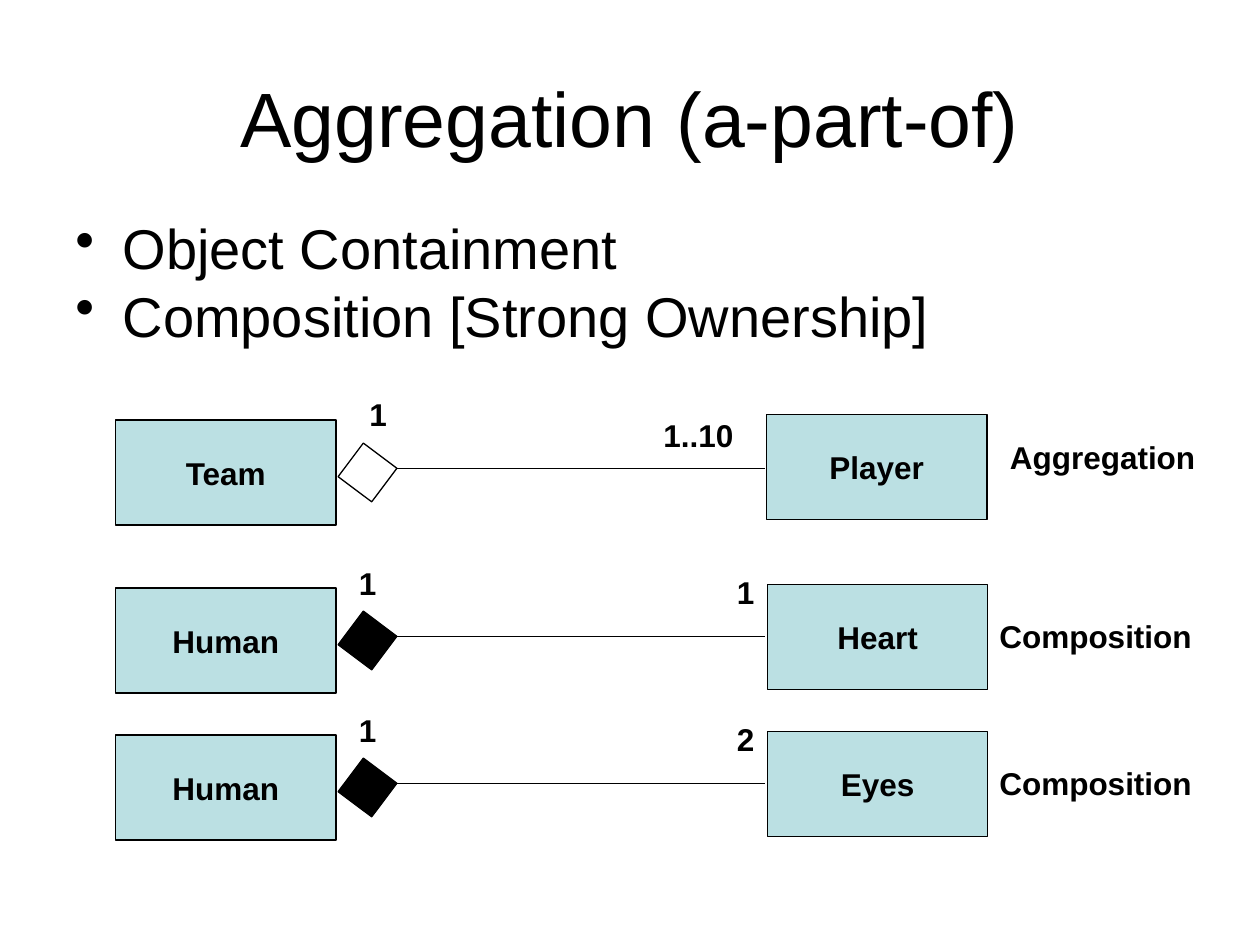
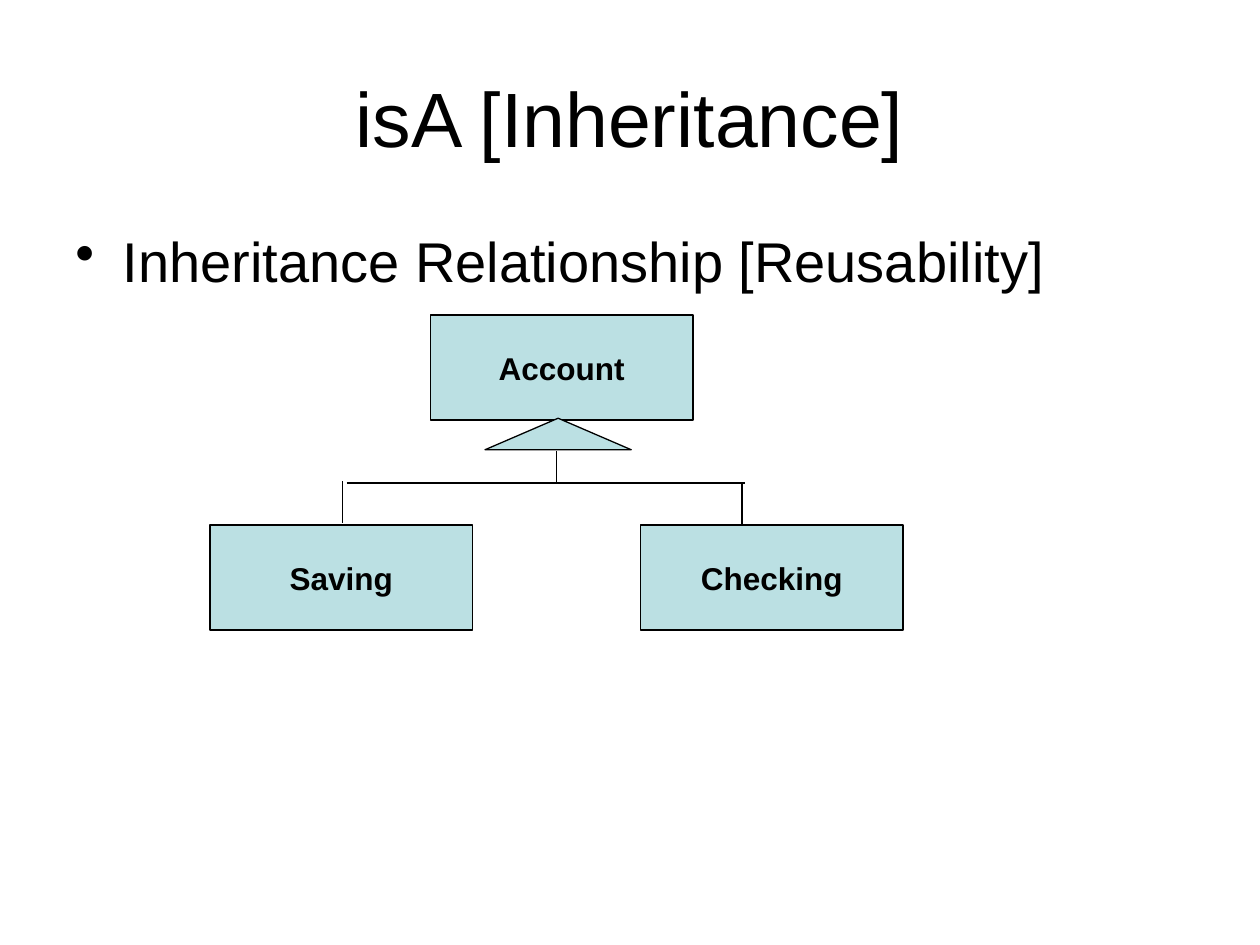
from lxml.etree import SubElement
from pptx import Presentation
from pptx.dml.color import RGBColor
from pptx.enum.shapes import MSO_CONNECTOR, MSO_SHAPE
from pptx.enum.text import MSO_ANCHOR, PP_ALIGN
from pptx.oxml.ns import qn
from pptx.util import Pt

FONT = "Arial"
BLACK = "000000"
BOX_FILL = "BBE0E3"
LINE_WIDTH = 0.75
BOX_HEIGHT = 60


def color(hex_value):
    return RGBColor.from_string(hex_value)


def style_paragraph(paragraph, size, bold=False, alignment=PP_ALIGN.LEFT):
    paragraph.alignment = alignment
    paragraph.font.name = FONT
    paragraph.font.size = Pt(size)
    paragraph.font.bold = bold
    paragraph.font.color.rgb = color(BLACK)


def add_text_frame(slide, left, top, width, height):
    text_box = slide.shapes.add_textbox(Pt(left), Pt(top), Pt(width), Pt(height))
    text_box.text_frame.word_wrap = True
    return text_box.text_frame


def add_title(slide, text):
    frame = add_text_frame(slide, 36, 21.6, 648, 90)
    frame.vertical_anchor = MSO_ANCHOR.MIDDLE
    frame.text = text
    style_paragraph(frame.paragraphs[0], 44, alignment=PP_ALIGN.CENTER)


def add_bullets(slide, lines, height, line_spacing=1.0):
    frame = add_text_frame(slide, 36, 126, 648, height)
    frame.text = "\n".join(lines)
    for paragraph in frame.paragraphs:
        properties = paragraph._p.get_or_add_pPr()
        properties.set("marL", str(Pt(27)))
        properties.set("indent", str(-Pt(27)))
        SubElement(properties, qn("a:buChar"), char="•")
        paragraph.line_spacing = line_spacing
        paragraph.space_before = Pt(8)
        style_paragraph(paragraph, 32)


def add_label(slide, text, left, top, width):
    frame = add_text_frame(slide, left, top, width, 28.8)
    frame.text = text
    paragraph = frame.paragraphs[0]
    paragraph.space_before = Pt(11.2)
    style_paragraph(paragraph, 18, bold=True)


def add_outlined_shape(slide, kind, left, top, width, height, fill=None):
    shape = slide.shapes.add_shape(kind, Pt(left), Pt(top), Pt(width), Pt(height))
    shape.shadow.inherit = False
    if fill:
        shape.fill.solid()
        shape.fill.fore_color.rgb = color(fill)
    else:
        shape.fill.background()
    shape.line.color.rgb = color(BLACK)
    shape.line.width = Pt(LINE_WIDTH)
    return shape


def add_class_box(slide, name, left, top, width):
    shape = add_outlined_shape(
        slide, MSO_SHAPE.RECTANGLE, left, top, width, BOX_HEIGHT, BOX_FILL
    )
    frame = shape.text_frame
    frame.word_wrap = False
    frame.vertical_anchor = MSO_ANCHOR.MIDDLE
    frame.text = name
    style_paragraph(frame.paragraphs[0], 18, bold=True, alignment=PP_ALIGN.CENTER)


def add_line(slide, start_x, start_y, end_x, end_y):
    connector = slide.shapes.add_connector(
        MSO_CONNECTOR.STRAIGHT, Pt(start_x), Pt(start_y), Pt(end_x), Pt(end_y)
    )
    connector.line.color.rgb = color(BLACK)
    connector.line.width = Pt(LINE_WIDTH)
    SubElement(connector._element.spPr, qn("a:effectLst"))


def add_relation(slide, top, whole, part, part_place, diamond_fill):
    add_class_box(slide, whole, 66, top, 126)
    diamond = add_outlined_shape(
        slide, MSO_SHAPE.RECTANGLE, 198, top + 18, 24, 24, diamond_fill
    )
    diamond.rotation = 36.9
    add_line(slide, 226.8, top + 27.8, 437, top + 27.8)
    add_class_box(slide, part, *part_place, 126)


def build_aggregation(slide):
    add_title(slide, "Aggregation (a-part-of)")
    add_bullets(slide, ["Object Containment", "Composition [Strong Ownership]"], 84, 0.8)

    add_relation(slide, 240, "Team", "Player", (438, 237), None)
    add_label(slide, "1", 204, 222, 48)
    add_label(slide, "1..10", 372, 234, 60)
    add_label(slide, "Aggregation", 570, 247, 132)

    for top, part, count in ((336, "Heart", "1"), (420, "Eyes", "2")):
        add_relation(slide, top, "Human", part, (438.5, top - 2), BLACK)
        add_label(slide, "1", 198, top - 17, 48)
        add_label(slide, count, 414, top - 12, 48)
        add_label(slide, "Composition", 564, top + 13, 132)


def build_inheritance(slide):
    add_title(slide, "isA [Inheritance]")
    add_bullets(slide, ["Inheritance Relationship [Reusability]"], 66)
    for name, left, top in (
        ("Account", 246, 180),
        ("Saving", 120, 300),
        ("Checking", 366, 300),
    ):
        add_class_box(slide, name, left, top, 150)
    add_outlined_shape(
        slide, MSO_SHAPE.ISOSCELES_TRIANGLE, 277.2, 239, 83.5, 18, BOX_FILL
    )
    branch_y = 276
    add_line(slide, 198, branch_y, 426, branch_y)
    add_line(slide, 318, 258, 318, branch_y)
    add_line(slide, 195.8, 275, 195.8, 299)
    add_line(slide, 424, branch_y, 424, 300)


def main():
    presentation = Presentation()
    presentation.slide_width = Pt(720)
    presentation.slide_height = Pt(540)
    blank_layout = presentation.slide_layouts[6]
    for build in (build_aggregation, build_inheritance):
        build(presentation.slides.add_slide(blank_layout))
    presentation.save("out.pptx")


if __name__ == "__main__":
    main()
